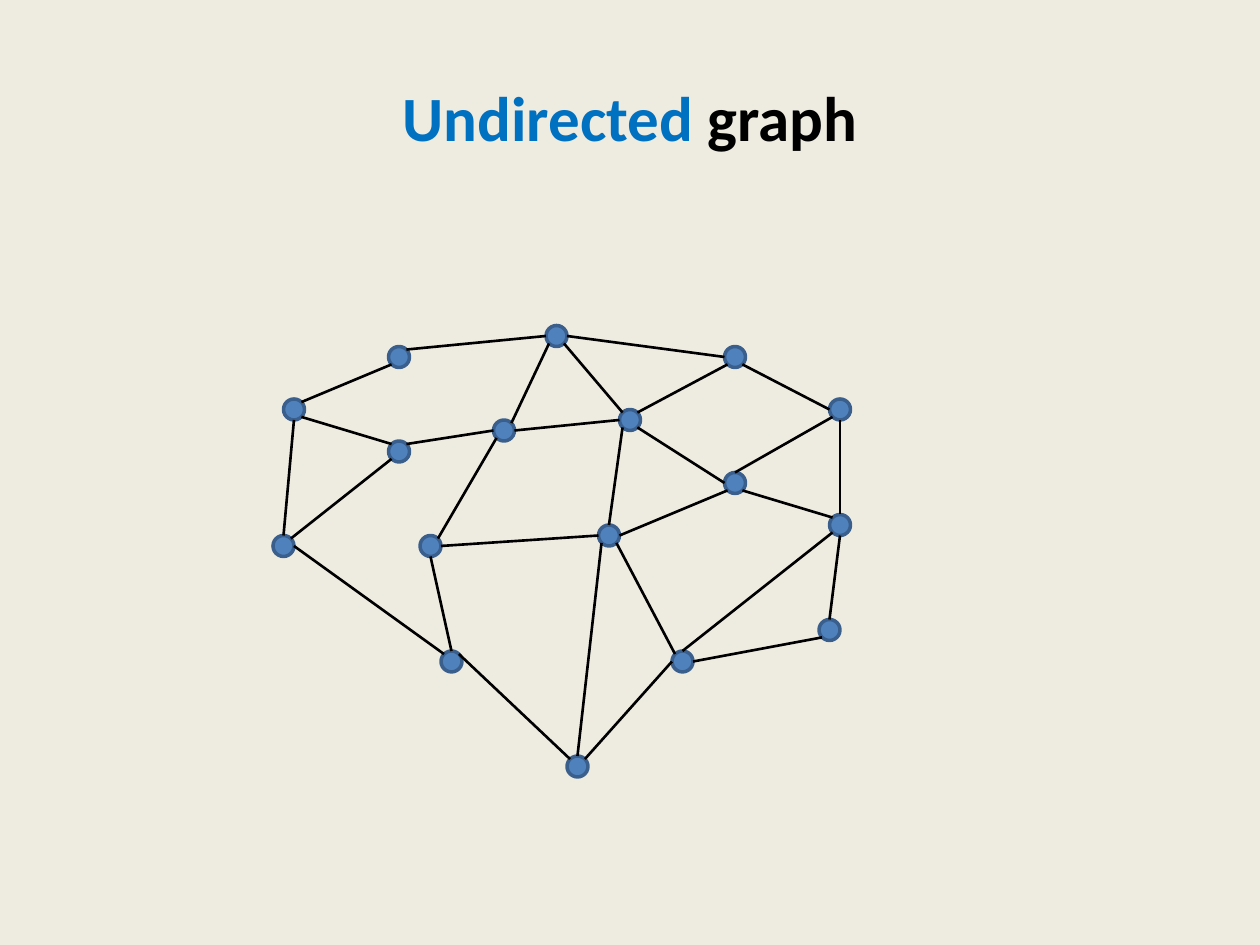
import math

import pptx
import pptx.chart.data
import pptx.dml.color
import pptx.enum.shapes
import pptx.enum.text
import pptx.util
from lxml import etree

COLORS = {
    "background": "EEECE1",
    "accent": "0070C0",
    "text": "000000",
    "node": "4F81BD",
    "node_border": "3A5F8C",
    "edge": "000000",
}
GRID_COLUMNS, GRID_ROWS = 120, 90
GRAPH_COLUMNS, GRAPH_ROWS = 55, 43
TITLE_WORDS = [("Undirected ", "accent"), ("graph", "text")]
TITLE_FORMAT = {"name": "Calibri", "size": pptx.util.Pt(36), "bold": True}

NODES = {
    "A": (2, 8), "B": (12, 3), "C": (27, 1), "D": (15, 21), "E": (12, 12),
    "F": (1, 21), "G": (22, 10), "H": (34, 9), "I": (32, 20), "J": (54, 19),
    "K": (54, 8), "L": (44, 3), "M": (44, 15), "N": (17, 32), "O": (39, 32),
    "P": (53, 29), "Q": (29, 42),
}
EDGES = [
    "M.sw I.e", "B.sw A.ne", "C.w B.ne", "L.w C.e", "C.sw G.ne", "G.w E.ne",
    "E.nw A.se", "E.sw F.ne", "F.n A.s", "D.ne G.sw", "I.n H.sw", "N.n D.s",
    "Q.ne O.w", "O.e P.sw", "M.se J.nw", "P.n J.s", "J.n K.s", "K.w L.se",
    "L.sw H.ne", "K.sw M.n", "M.w H.se", "H.w G.e", "H.nw C.se", "I.w D.e",
    "Q.nw N.ne", "Q.n I.sw", "O.n J.sw", "I.se O.nw", "N.nw F.e",
]
COMPASS = ["e", "se", "s", "sw", "w", "nw", "n", "ne"]


def color(key):
    return pptx.dml.color.RGBColor.from_string(COLORS[key])


def grid_box(presentation, column, row, columns, rows):
    column_width = presentation.slide_width / GRID_COLUMNS
    row_height = presentation.slide_height / GRID_ROWS
    return [round(length) for length in (
        column * column_width, row * row_height,
        columns * column_width, rows * row_height)]


def place_title(slide, box):
    title = slide.shapes.title
    for side, length in zip(("left", "top", "width", "height"), box):
        setattr(title, side, length)
    title.text_frame.vertical_anchor = pptx.enum.text.MSO_ANCHOR.MIDDLE
    heading = title.text_frame.paragraphs[0]
    heading.alignment = pptx.enum.text.PP_ALIGN.CENTER
    for words, color_key in TITLE_WORDS:
        run = heading.add_run()
        run.text = words
        for attribute, value in TITLE_FORMAT.items():
            setattr(run.font, attribute, value)
        run.font.color.rgb = color(color_key)


def add_node(slide, x, y, radius_x, radius_y):
    node = slide.shapes.add_shape(
        pptx.enum.shapes.MSO_SHAPE.OVAL,
        round(x - radius_x), round(y - radius_y),
        round(2 * radius_x), round(2 * radius_y))
    node.shadow.inherit = False
    node.fill.solid()
    node.fill.fore_color.rgb = color("node")
    node.line.color.rgb = color("node_border")
    node.line.width = pptx.util.Pt(2)


def add_edge(slide, start, end):
    edge = slide.shapes.add_connector(
        pptx.enum.shapes.MSO_CONNECTOR.STRAIGHT, *start, *end)
    edge.line.color.rgb = color("edge")
    edge.line.width = pptx.util.Pt(1.5)
    etree.SubElement(
        edge._element.spPr, pptx.oxml.ns.qn("a:effectLst"))


def place_graph(slide, box):
    left, top, width, height = box
    radius_x, radius_y = width / GRAPH_COLUMNS, height / GRAPH_ROWS
    centers = {
        name: (left + column * radius_x, top + row * radius_y)
        for name, (column, row) in NODES.items()
    }

    def rim_point(end):
        name, direction = end.split(".")
        angle = COMPASS.index(direction) * math.pi / 4
        x, y = centers[name]
        return (round(x + radius_x * math.cos(angle)),
                round(y + radius_y * math.sin(angle)))

    for x, y in centers.values():
        add_node(slide, x, y, radius_x, radius_y)
    for edge in EDGES:
        start, end = edge.split()
        add_edge(slide, rim_point(start), rim_point(end))


def main():
    presentation = pptx.Presentation()
    presentation.slide_width = pptx.util.Inches(10)
    presentation.slide_height = pptx.util.Inches(7.5)
    slide = presentation.slides.add_slide(presentation.slide_layouts[5])
    slide.background.fill.solid()
    slide.background.fill.fore_color.rgb = color("background")
    place_title(slide, grid_box(presentation, 6, 3.6, 108, 15))
    place_graph(slide, grid_box(
        presentation, 26, 31, GRAPH_COLUMNS, GRAPH_ROWS))
    presentation.save("out.pptx")


if __name__ == "__main__":
    main()
